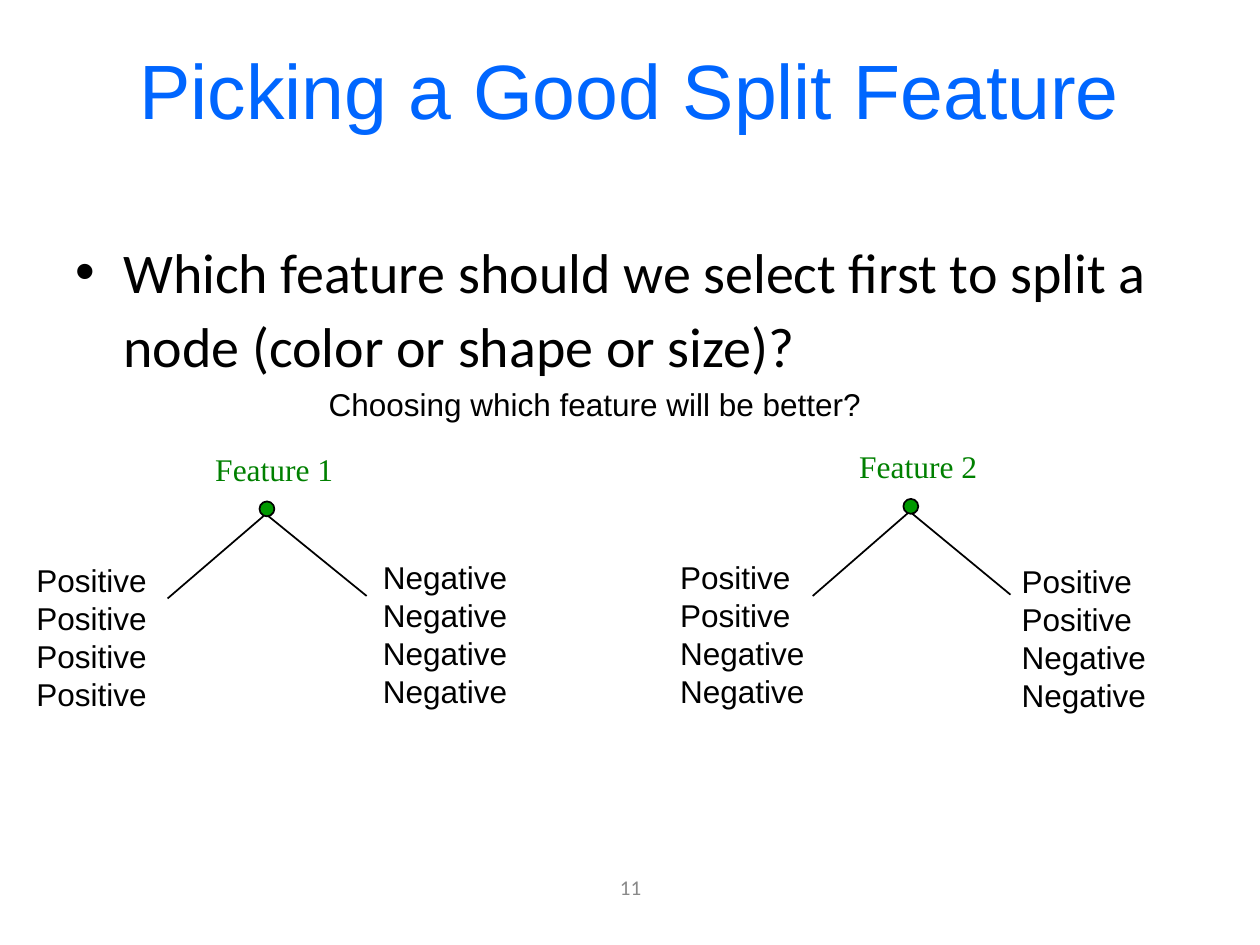
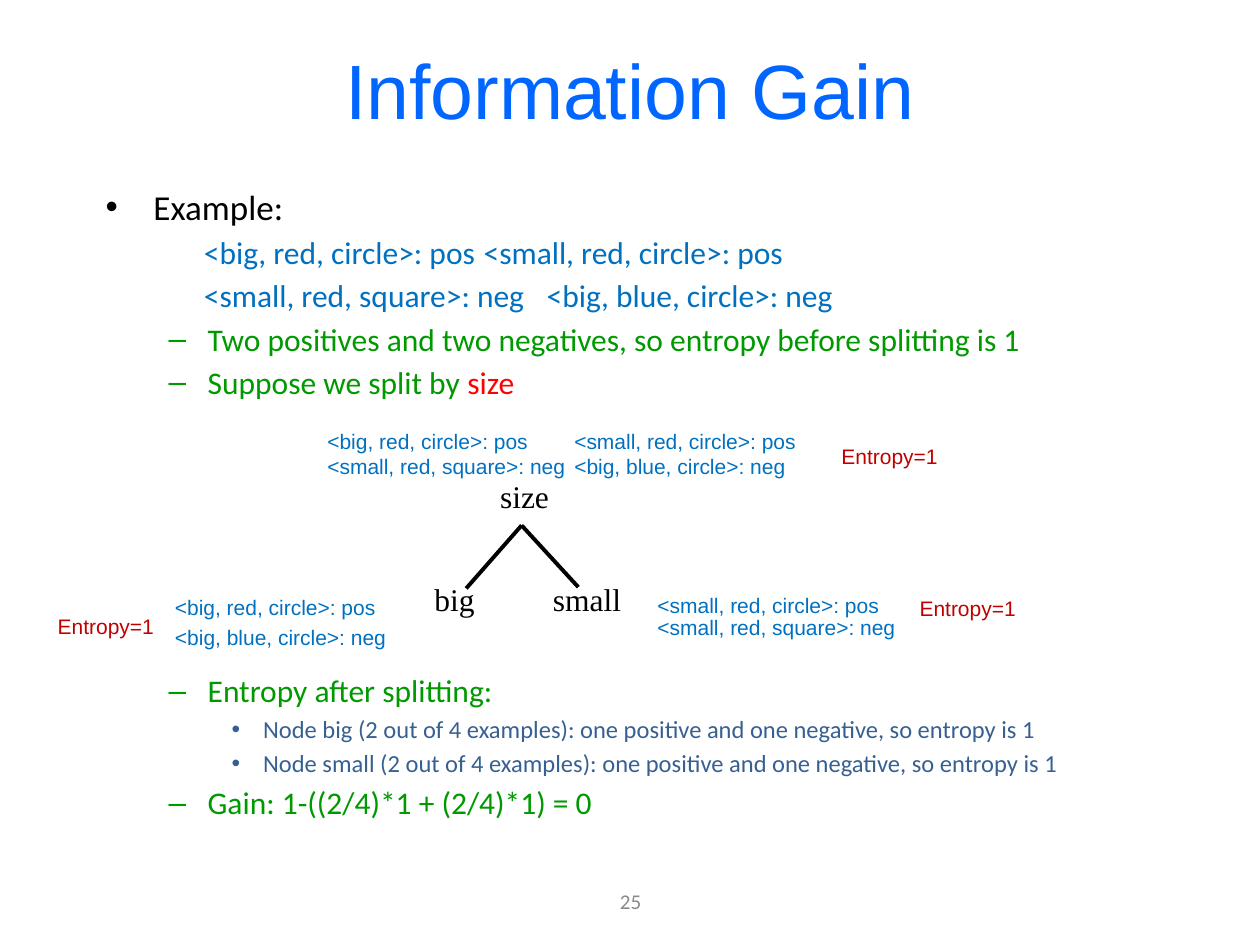
from pptx import Presentation
from pptx.dml.color import RGBColor
from pptx.enum.shapes import MSO_CONNECTOR, MSO_SHAPE
from pptx.enum.text import MSO_ANCHOR, PP_ALIGN
from pptx.oxml.ns import qn
from pptx.util import Cm, Pt
from lxml.etree import SubElement

INCH = 2.54
BLACK, BLUE, GREEN = "000000", "0070C0", "009900"
TITLE, GREY, RED, DARK = "0066FF", "898989", "C00000", "376092"
SERIF = "Times New Roman"


def paint(font, size, face, hue):
    font.size = Pt(size)
    font.name = face
    font.color.rgb = RGBColor.from_string(hue)


def write(slide, words, box, size=18, face="Arial", hue=BLACK, wrap=False):
    """Add a text box, with box given in inches, and return its frame."""
    frame = slide.shapes.add_textbox(*[Cm(v * INCH) for v in box]).text_frame
    frame.text = words
    frame.word_wrap = wrap
    for para in frame.paragraphs:
        for run in para.runs:
            paint(run.font, size, face, hue)
    return frame


deck = Presentation()
deck.slide_width, deck.slide_height = Cm(25.4), Cm(19.05)

# Each point: words, left, indent, bullet, size, colour, space before, tab
pages = [
    ("Picking a Good Split Feature", "11", 6.84, (0.5, 1.5, 9, 5.67), [
        ("Which feature should we select first to split a node "
         "(color or shape or size)?", 0.38, -0.38, "•", 32, BLACK, 0, 0),
    ]),
    ("Information Gain", "25", 6.95, (0.74, 1.42, 8.5, 5.41), [
        ("Example:", 0.38, -0.38, "•", 20, BLACK, 0, 0),
        ("<big, red, circle>: pos\t<small, red, circle>: pos",
         0, 0.78, "", 18, BLUE, 3.2, 3.49),
        ("<small, red, square>: neg\t<big, blue, circle>: neg",
         0, 0.78, "", 18, BLUE, 3.2, 3.6),
        ("Two positives and two negatives, so entropy before splitting is 1",
         0.81, -0.31, "–", 18, GREEN, 3.2, 0),
        ("Suppose we split by ", 0.81, -0.31, "–", 18, GREEN, 3.2, 0),
        ("Entropy after splitting:", 0.81, -0.31, "–", 18, GREEN, 154.6, 0),
        ("Node big (2 out of 4 examples): one positive and one negative, "
         "so entropy is 1", 1.25, -0.25, "•", 14, DARK, 2.8, 0),
        ("Node small (2 out of 4 examples): one positive and one negative, "
         "so entropy is 1", 1.25, -0.25, "•", 14, DARK, 2.8, 0),
        ("Gain: 1-((2/4)*1 + (2/4)*1) = 0", 0.81, -0.31, "–", 18, GREEN, 3.2, 0),
    ]),
]

slides, bodies = [], []
for name, num, low, area, points in pages:
    slide = deck.slides.add_slide(deck.slide_layouts[5])
    slides.append(slide)
    title = slide.shapes.title
    title.left, title.top = Cm(0.5 * INCH), Cm(0.08 * INCH)
    title.width, title.height = Cm(9 * INCH), Cm(1.25 * INCH)
    title.text_frame.text = name
    title.text_frame.vertical_anchor = MSO_ANCHOR.MIDDLE
    title.text_frame.paragraphs[0].alignment = PP_ALIGN.CENTER
    paint(title.text_frame.paragraphs[0].runs[0].font, 44, "Arial", TITLE)

    foot = write(slide, num, (3.42, low, 3.17, 0.4), 12, "Calibri", GREY, True)
    foot.vertical_anchor = MSO_ANCHOR.MIDDLE
    foot.paragraphs[0].alignment = PP_ALIGN.CENTER

    body = write(slide, "\n".join(p[0] for p in points), area, wrap=True)
    bodies.append(body)
    for para, point in zip(body.paragraphs, points):
        words, left, hang, mark, size, hue, gap, tab = point
        props = para._p.get_or_add_pPr()
        props.set("marL", str(Cm(left * INCH)))
        props.set("indent", str(Cm(hang * INCH)))
        if mark:
            SubElement(props, qn("a:buFont")).set("typeface", "Arial")
            SubElement(props, qn("a:buChar")).set("char", mark)
        if tab:
            stop = SubElement(SubElement(props, qn("a:tabLst")), qn("a:tab"))
            stop.set("pos", str(Cm(tab * INCH)))
            stop.set("algn", "l")
        if gap:
            para.space_before = Pt(gap)
        for run in para.runs:
            paint(run.font, size, "Calibri", hue)

first, second = slides
bodies[0].margin_top = Cm(0.84)
bodies[0].paragraphs[0].line_spacing = 1.1
word = bodies[1].paragraphs[4].add_run()
word.text = "size"
paint(word.font, 18, "Calibri", "FF0000")

# Branches: slide, top point, left end, right end, line width
forks = [
    (first, (2.11, 4.08), (1.33, 4.75), (2.91, 4.73), 1),
    (first, (7.22, 4.06), (6.45, 4.73), (8.02, 4.72), 1),
    (second, (4.14, 4.17), (3.7, 4.67), (4.59, 4.66), 2.25),
]
for slide, top, *ends, thick in forks:
    for end in ends:
        line = slide.shapes.add_connector(
            MSO_CONNECTOR.STRAIGHT, *[Cm(v * INCH) for v in top + end])
        line.line.color.rgb = RGBColor.from_string(BLACK)
        line.line.width = Pt(thick)
        SubElement(line._element.spPr, qn("a:effectLst"))

# Feature trees
for num, x, y in [(1, 1.61, 3.52), (2, 6.72, 3.5)]:
    node = first.shapes.add_shape(
        MSO_SHAPE.OVAL, Cm((x + 0.45) * INCH), Cm((y + 0.46) * INCH),
        Cm(0.3), Cm(0.3))
    node.shadow.inherit = False
    node.fill.solid()
    node.fill.fore_color.rgb = RGBColor.from_string(GREEN)
    node.line.color.rgb = RGBColor.from_string(BLACK)
    node.line.width = Pt(1)
    write(first, f"Feature {num}", (x, y, 1.15, 0.41), 18, SERIF, "008000")

pos, neg = "Positive", "Negative"
leaves = [
    (0.19, 4.4, 1.09, [pos] * 4),
    (2.94, 4.38, 1.2, [neg] * 4),
    (5.3, 4.38, 1.2, [pos, pos, neg, neg]),
    (8.01, 4.41, 1.2, [pos, pos, neg, neg]),
]
for x, y, wide, names in leaves:
    leaf = write(first, "\n".join(names), (x, y, wide, 1.31))
    for para in leaf.paragraphs:
        para.line_spacing = Pt(21.7)
write(first, "Choosing which feature will be better?", (2.51, 3.01, 4.47, 0.4))

# Split by size
for words, x, y, wide in [("size", 3.87, 3.74, 0.59), ("big", 3.35, 4.55, 0.53),
                          ("small", 4.29, 4.55, 0.74)]:
    write(second, words, (x, y, wide, 0.41), 18, SERIF)

for words, x, y, wide in [("<small, red, circle>: pos", 5.12, 4.65, 1.97),
                          ("<small, red, square>: neg", 5.12, 4.83, 2.1),
                          ("<big, red, circle>: pos", 1.29, 4.67, 1.8),
                          ("<big, blue, circle>: neg", 1.29, 4.91, 1.88)]:
    write(second, words, (x, y, wide, 0.3), 12, hue=BLUE)

root = write(second, "<big, red, circle>: pos\t<small, red, circle>: pos\n"
             "<small, red, square>: neg\t<big, blue, circle>: neg",
             (1.96, 3.35, 5, 0.51), 12, hue=BLUE, wrap=True)
for para, tab in zip(root.paragraphs, (2.59, 2.66)):
    props = para._p.get_or_add_pPr()
    props.set("marL", "0")
    props.set("indent", str(Cm(0.54 * INCH)))
    stop = SubElement(SubElement(props, qn("a:tabLst")), qn("a:tab"))
    stop.set("pos", str(Cm(tab * INCH)))
    stop.set("algn", "l")

for x, y in [(6.58, 3.47), (7.2, 4.68), (0.36, 4.82)]:
    write(second, "Entropy=1", (x, y, 0.97, 0.3), 12, hue=RED)

deck.save("out.pptx")
